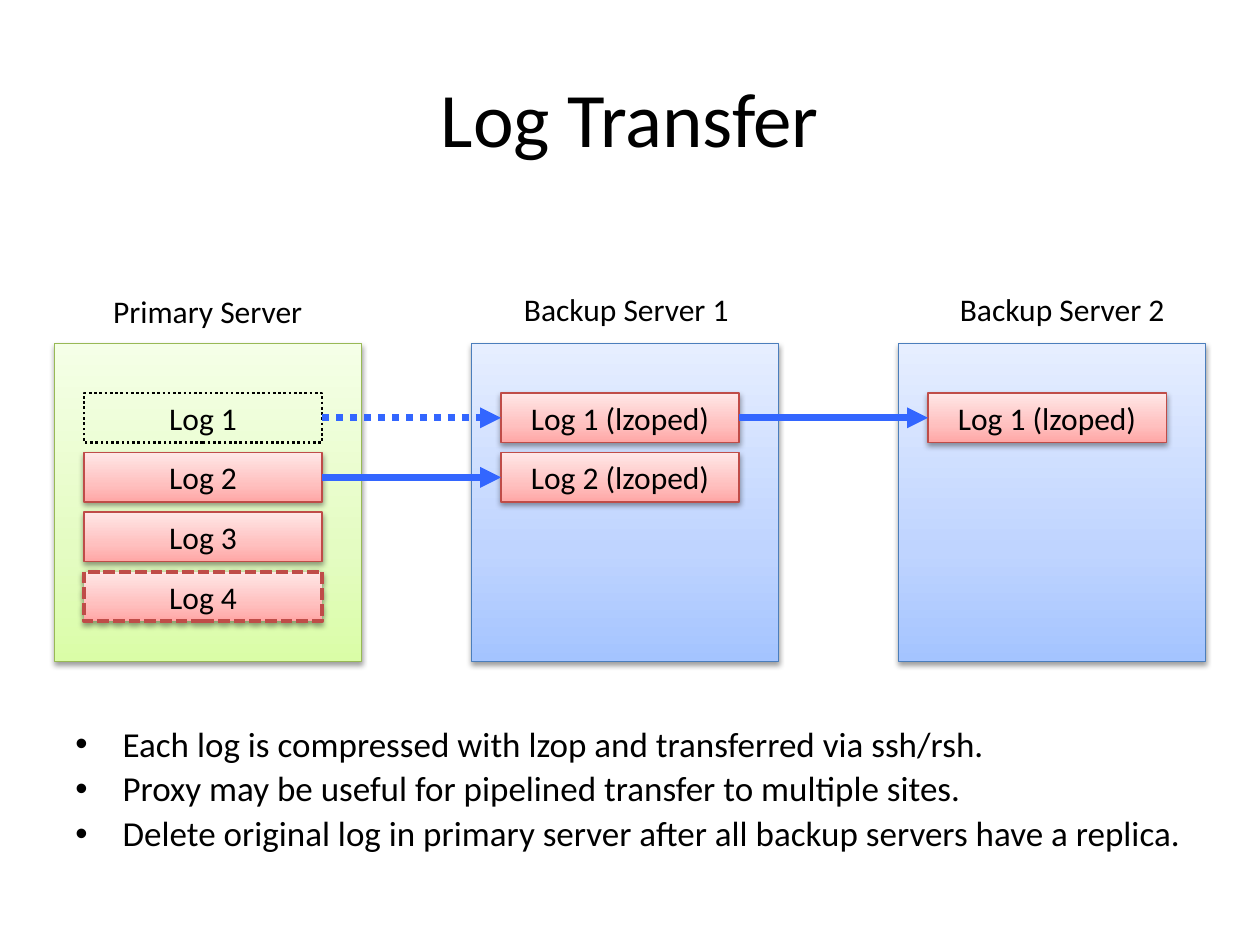
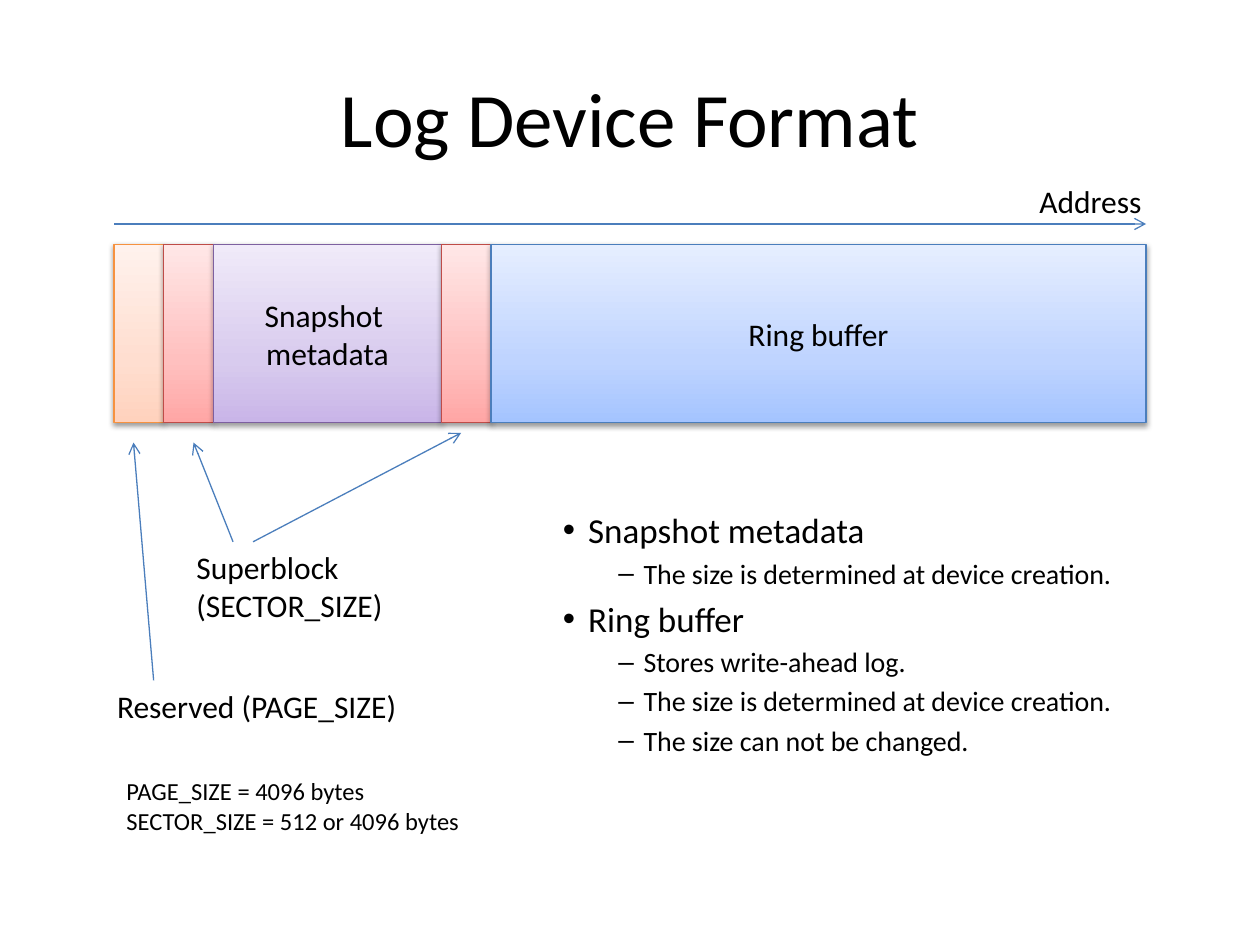
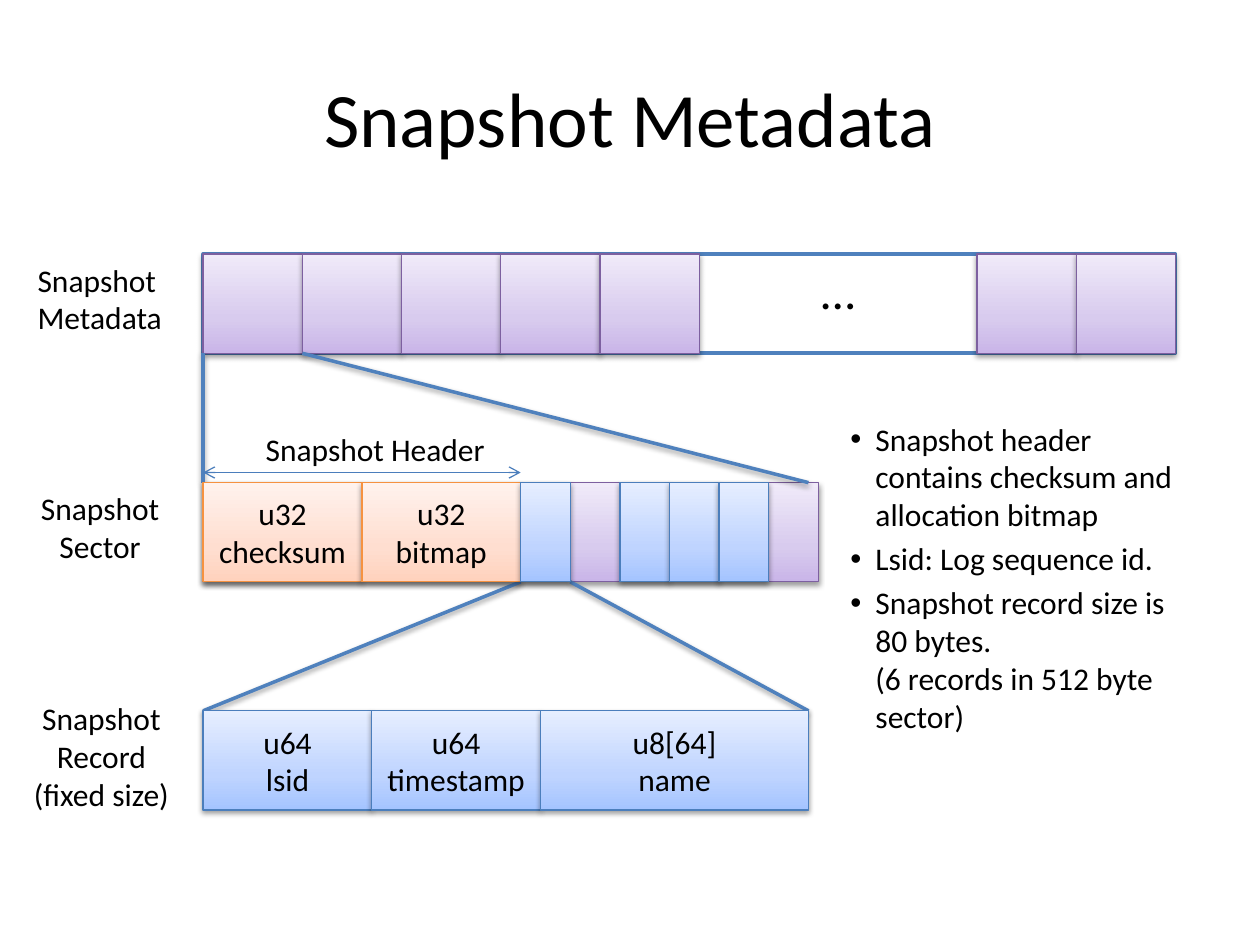
"""Build three slides on log transfer, the log device format and snapshot metadata."""
import copy

import lxml.etree
import pptx
import pptx.dml.color
import pptx.enum.dml
import pptx.enum.shapes
import pptx.enum.text
import pptx.oxml.ns
import pptx.util

Pt = pptx.util.Pt
RGB = pptx.dml.color.RGBColor
qn = pptx.oxml.ns.qn
LEFT = pptx.enum.text.PP_ALIGN.LEFT
MID = pptx.enum.text.PP_ALIGN.CENTER
DOT = pptx.enum.dml.MSO_LINE.ROUND_DOT
DASH = pptx.enum.dml.MSO_LINE.SQUARE_DOT

FONT = "Calibri"
BLACK = RGB(0x00, 0x00, 0x00)
WHITE = RGB(0xFF, 0xFF, 0xFF)
EDGE = RGB(0x4B, 0x7E, 0xBC)
LINK = RGB(0x4F, 0x81, 0xBD)
FLOW = RGB(0x33, 0x66, 0xFF)
THEMES = {
    "blue": (EDGE, (RGB(0xA4, 0xC4, 0xFF), RGB(0xBF, 0xD4, 0xFF), RGB(0xE6, 0xEE, 0xFF))),
    "green": (RGB(0x98, 0xB9, 0x55), (RGB(0xDA, 0xFD, 0xA7), RGB(0xE4, 0xFC, 0xC2), RGB(0xF5, 0xFF, 0xE7))),
    "red": (RGB(0xBF, 0x4C, 0x48), (RGB(0xFF, 0xA6, 0xA5), RGB(0xFF, 0xC0, 0xBF), RGB(0xFF, 0xE7, 0xE7))),
    "violet": (RGB(0x7D, 0x60, 0xA0), (RGB(0xC9, 0xB5, 0xE8), RGB(0xD8, 0xCB, 0xEE), RGB(0xF0, 0xEA, 0xF9))),
    "orange": (RGB(0xF6, 0x92, 0x40), (RGB(0xFF, 0xD2, 0xBD), RGB(0xFF, 0xDE, 0xD0), RGB(0xFF, 0xF2, 0xED))),
    "white": (LINK, (WHITE,)),
    "ghost": (BLACK, ()),
}
STOPS = (0, 0.35, 1)
UNIT = 5.67

SERVERS = [
    (31, "green", [("Log 1", "ghost", 1.5, DOT), ("Log 2", "red", 0.75, None),
                   ("Log 3", "red", 0.75, None), ("Log 4", "red", 2.25, DASH)]),
    (269.3, "blue", [("Log 1 (lzoped)", "red", 0.75, None), ("Log 2 (lzoped)", "red", 0.75, None)]),
    (513.3, "blue", [("Log 1 (lzoped)", "red", 0.75, None)]),
]
NAMES = [
    ((57.6, 163.6, 124, 29), "Primary Server"),
    ((292.3, 162, 147.6, 29), "Backup Server 1"),
    ((541.4, 162, 147.6, 29), "Backup Server 2"),
]
FLOWS = [(0, 1, 0, DOT), (0, 1, 1, None), (1, 2, 0, None)]
POINTS = [
    (0, "Each log is compressed with lzop and transferred via ssh/rsh."),
    (0, "Proxy may be useful for pipelined transfer to multiple sites."),
    (0, "Delete original log in primary server after all backup servers have a replica."),
]

DEVICE = [("orange", 5, ""), ("red", 5, ""), ("violet", 23, "Snapshot \nmetadata"),
          ("red", 5, ""), ("blue", 66, "Ring buffer")]
ARROWS = [
    (65.2, 128, 654.9, 128), (133.2, 309.6, 110.6, 252.9),
    (144.6, 309.6, 263.5, 247.4), (87.8, 388.8, 76.3, 252.9),
]
NOTES = [
    ((586.8, 100.3, 73.4, 29), "Address", 18),
    ((105.1, 309.6, 121.7, 51), "Superblock\n(SECTOR_SIZE)", 18),
    ((59.8, 388.8, 180, 29), "Reserved (PAGE_SIZE)", 18),
    ((65.2, 440, 206, 41), "PAGE_SIZE = 4096 bytes\nSECTOR_SIZE = 512 or 4096 bytes", 14),
]
SIZES = [
    (0, "Snapshot metadata"),
    (1, "The size is determined at device creation."),
    (0, "Ring buffer"),
    (1, "Stores write-ahead log."),
    (1, "The size is determined at device creation."),
    (1, "The size can not be changed."),
]

META = [("violet", 10, "")] * 5 + [("", 28, "")] + [("violet", 10, "")] * 2
SECTOR = ([("orange", 16, "u32\nchecksum"), ("orange", 16, "u32\nbitmap"), ("blue", 5, ""), ("", 5, "")]
          + [("blue", 5, "")] * 3)
RECORD = [("blue", 17, "u64\nlsid"), ("blue", 17, "u64 timestamp"), ("blue", 27, "u8[64]\nname")]
ZOOMS = [(0, 0, 0), (0, 10, 61), (1, 32, 0), (1, 37, 61)]
TAGS = [
    ((14.4, 145.4, 86.4, 51), "Snapshot\nMetadata", 18, LEFT),
    ((15.8, 275.8, 82.8, 51), "Snapshot\nSector", 18, MID),
    ((11.5, 396, 92.9, 72.7), "Snapshot\nRecord\n(fixed size)", 18, MID),
    ((144.7, 241.9, 141.1, 29), "Snapshot Header", 18, LEFT),
    ((462.2, 145.4, 33.8, 41), "…", 28, LEFT),
]
FACTS = [
    (0, "Snapshot header contains checksum and allocation bitmap"),
    (0, "Lsid: Log sequence id."),
    (0, "Snapshot record size is 80 bytes. \n(6 records in 512 byte sector)"),
]


def add(tag, up, **attrs):
    """Append a drawing element."""
    return lxml.etree.SubElement(up, qn("a:" + tag), attrs)


def shade(props):
    """Append the soft shadow that boxes and links share."""
    cast = add("outerShdw", add("effectLst", props), blurRad="40000", dist="20000",
               dir="5400000", rotWithShape="0")
    add("alpha", add("srgbClr", cast, val="000000"), val="38000")


def style(para, size, align):
    """Format one paragraph and its runs."""
    para.alignment = align
    for run in para.runs:
        run.font.name = FONT
        run.font.size = Pt(size)
        run.font.color.rgb = BLACK


def write(frame, text, size, align):
    """Fill a frame with plain lines."""
    frame.text = text
    for para in frame.paragraphs:
        style(para, size, align)


def box(slide, place, theme, text="", width=0.75, dash=None):
    """Draw a themed rectangle."""
    edge, tones = THEMES[theme]
    rect = slide.shapes.add_shape(pptx.enum.shapes.MSO_SHAPE.RECTANGLE, *map(Pt, place))
    rect.line.color.rgb = edge
    rect.line.width = Pt(width)
    if dash:
        rect.line.dash_style = dash
    if len(tones) == len(STOPS):
        rect.fill.gradient()
        rect.fill.gradient_angle = 90
        stops = rect._element.spPr.find(".//" + qn("a:gsLst"))
        stops.insert(1, copy.deepcopy(stops[0]))
        for stop, spot, tone in zip(rect.fill.gradient_stops, STOPS, tones):
            stop.position = spot
            stop.color.rgb = tone
        shade(rect._element.spPr)
    else:
        rect.shadow.inherit = False
        if tones:
            rect.fill.solid()
            rect.fill.fore_color.rgb = tones[0]
        else:
            rect.fill.background()
    if text:
        rect.text_frame.word_wrap = True
        rect.text_frame.vertical_anchor = pptx.enum.text.MSO_ANCHOR.MIDDLE
        write(rect.text_frame, text, 18, MID)


def row(slide, left, top, height, cells):
    """Draw adjoining cells; a cell without a theme is a gap."""
    for theme, units, text in cells:
        if theme:
            box(slide, (left, top, units * UNIT, height), theme, text)
        left += units * UNIT


def line(slide, ends, color, width, head=None, tail=None, dash=None, cast=False):
    """Draw a straight line with optional arrowheads."""
    link = slide.shapes.add_connector(pptx.enum.shapes.MSO_CONNECTOR.STRAIGHT, *map(Pt, ends))
    link.line.color.rgb = color
    link.line.width = Pt(width)
    if dash:
        link.line.dash_style = dash
    props = link._element.spPr
    for tag, kind in (("headEnd", head), ("tailEnd", tail)):
        if kind:
            add(tag, props.find(qn("a:ln")), type=kind)
    if cast:
        shade(props)
    else:
        add("effectLst", props)


def note(slide, place, text, size=18, align=LEFT):
    """Place a label that fits its text."""
    frame = slide.shapes.add_textbox(*map(Pt, place)).text_frame
    frame.word_wrap = False
    frame.auto_size = pptx.enum.text.MSO_AUTO_SIZE.SHAPE_TO_FIT_TEXT
    write(frame, text, size, align)


def body(slide, place, items, sizes, hang=14.4, space=None):
    """Place a bulleted list of one or two levels."""
    frame = slide.shapes.add_textbox(*map(Pt, place)).text_frame
    frame.word_wrap = True
    for num, (level, text) in enumerate(items):
        para = frame.add_paragraph() if num else frame.paragraphs[0]
        para.text = text
        para.level = level
        style(para, sizes[level], LEFT)
        props = para._p.get_or_add_pPr()
        props.set("marL", str(Pt(hang + level * 31.7)))
        props.set("indent", str(-Pt(hang)))
        add("spcPct", add("spcBef", props), val="20000")
        add("buFont", props, typeface="Arial")
        add("buChar", props, char="•–"[level])
        if space:
            para.line_spacing = space


def start(deck, title):
    """Add a blank slide with the shared title."""
    slide = deck.slides.add_slide(deck.slide_layouts[6])
    frame = slide.shapes.add_textbox(Pt(36), Pt(21.6), Pt(648), Pt(90)).text_frame
    frame.word_wrap = True
    frame.vertical_anchor = pptx.enum.text.MSO_ANCHOR.MIDDLE
    write(frame, title, 44, MID)
    return slide


def transfer(deck):
    """Show logs moving between servers."""
    slide = start(deck, "Log Transfer")
    inset, top, wide, high, pitch = 17, 224.6, 24 * UNIT, 5 * UNIT, 6 * UNIT
    for left, theme, logs in SERVERS:
        box(slide, (left, 196.4, 31 * UNIT, 32 * UNIT), theme)
        for num, (text, tint, width, dash) in enumerate(logs):
            box(slide, (left + inset, top + num * pitch, wide, high), tint, text, width, dash)
    for src, dest, num, dash in FLOWS:
        mid = top + num * pitch + high / 2
        ends = (SERVERS[src][0] + inset + wide, mid, SERVERS[dest][0] + inset, mid)
        line(slide, ends, FLOW, 4, tail="triangle", dash=dash)
    for place, text in NAMES:
        note(slide, place, text)
    body(slide, (36, 411.8, 648, 102.2), POINTS, (20,), 27, 0.9)


def device(deck):
    """Show the layout of the log device."""
    slide = start(deck, "Log Device Format")
    row(slide, 65.2, 139.6, 18 * UNIT, DEVICE)
    for ends in ARROWS:
        line(slide, ends, EDGE, 0.75, tail="arrow")
    for place, text, size in NOTES:
        note(slide, place, text, size)
    body(slide, (314.6, 287.3, 368.6, 175.7), SIZES, (20, 16))


def snapshot(deck):
    """Zoom from metadata to sector to record."""
    slide = start(deck, "Snapshot Metadata")
    left, high, tops = 116.1, 10 * UNIT, (145.2, 275.8, 406.2)
    box(slide, (left, tops[0], 98 * UNIT, high), "white", width=2)
    row(slide, left, tops[0], high, META)
    box(slide, (left, tops[1], 62 * UNIT, high), "violet")
    for num, src, dest in ZOOMS:
        ends = (left + src * UNIT, tops[num] + high, left + dest * UNIT, tops[num + 1])
        line(slide, ends, LINK, 2, cast=True)
    row(slide, left, tops[1], high, SECTOR)
    row(slide, left, tops[2], high, RECORD)
    line(slide, (left, 270, left + 32 * UNIT, 270), EDGE, 0.75, "arrow", "arrow")
    for tag in TAGS:
        note(slide, *tag)
    body(slide, (478.8, 236.2, 211, 260.6), FACTS, (18,))


def main():
    """Build and save the deck."""
    deck = pptx.Presentation()
    deck.slide_width, deck.slide_height = Pt(720), Pt(540)
    for build in (transfer, device, snapshot):
        build(deck)
    deck.save("out.pptx")


if __name__ == "__main__":
    main()
